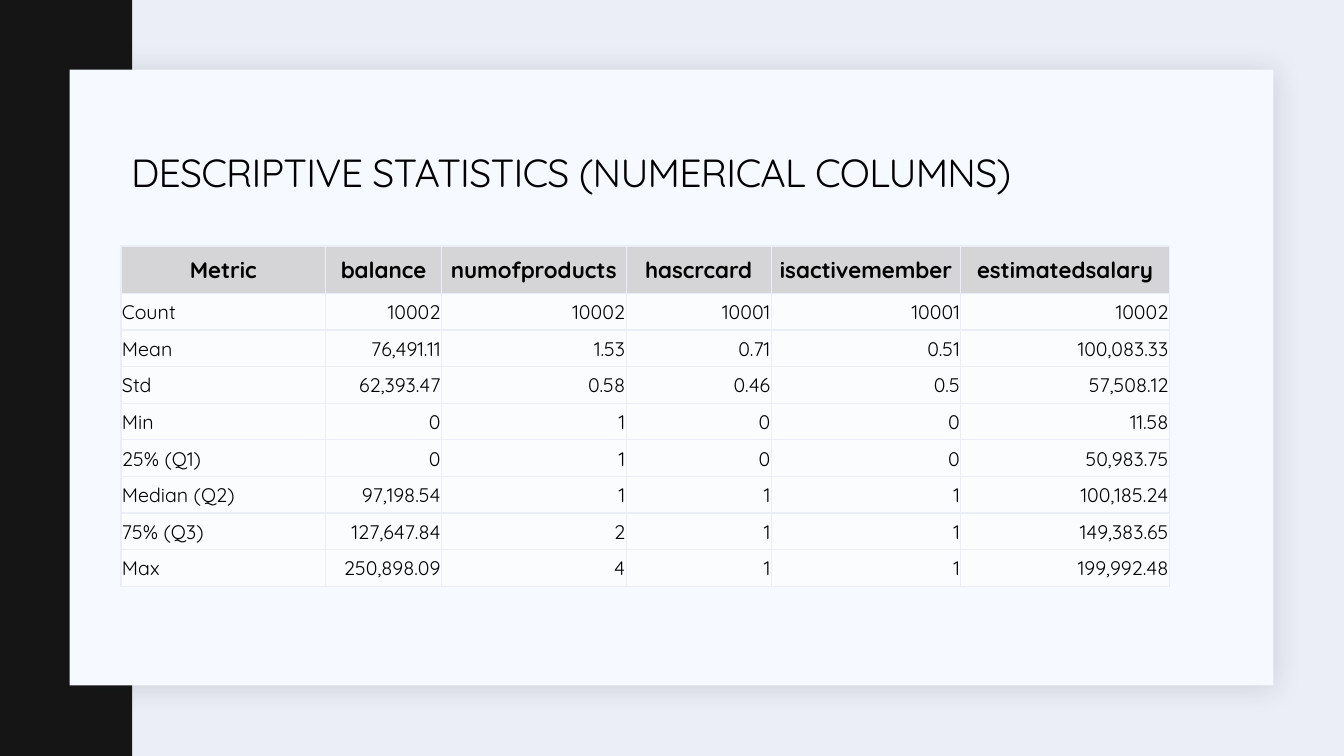
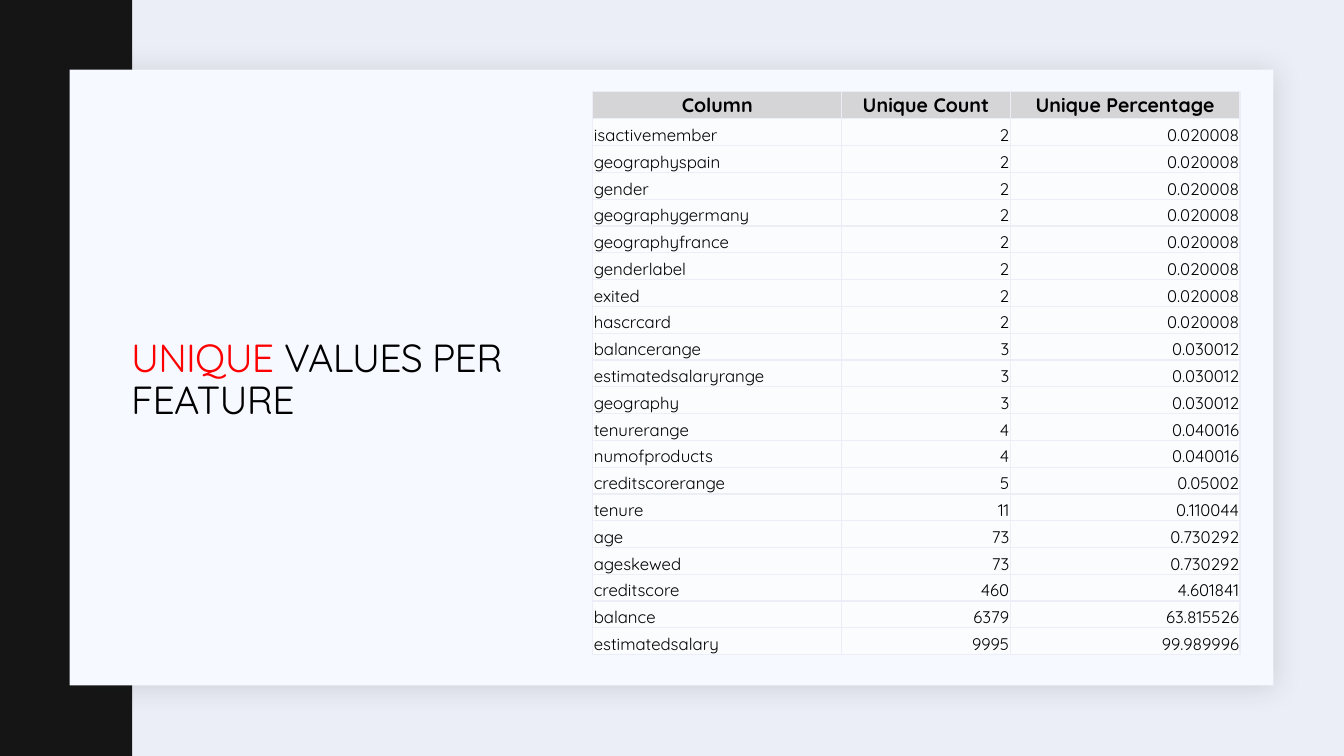
from lxml import etree
from pptx import Presentation
from pptx.dml.color import RGBColor
from pptx.enum.shapes import MSO_SHAPE
from pptx.enum.text import MSO_ANCHOR, MSO_AUTO_SIZE, PP_ALIGN
from pptx.oxml import parse_xml
from pptx.oxml.ns import nsdecls, qn
from pptx.util import Inches, Pt

RECT = MSO_SHAPE.RECTANGLE
MIDDLE, BOTTOM, TOP = MSO_ANCHOR.MIDDLE, MSO_ANCHOR.BOTTOM, MSO_ANCHOR.TOP
LEFT, CENTER, RIGHT = PP_ALIGN.LEFT, PP_ALIGN.CENTER, PP_ALIGN.RIGHT
NO_FIT = MSO_AUTO_SIZE.NONE

# Shared look
FONT = "Quicksand"
BACK, BAND, PANEL = "ECEEF7", "141514", "F6F9FF"
HEAD, BODY, SHADE = "D5D5D7", "FBFCFD", "1F2125"
BLACK, RED = "000000", "FF0000"

# Content
SLIDES = [
    {
        "title": [("DESCRIPTIVE STATISTICS (NUMERICAL COLUMNS)", BLACK)],
        "title_at": (1.2, 1.03, 11, 1.41),
        "table_at": (1.2, 2.44),
        "height": 3.38,
        "head_height": 0.47,
        "cols": [2.03, 1.15, 1.83, 1.44, 1.88, 2.07],
        "sizes": (16, 14),
        "anchors": (MIDDLE, MIDDLE),
        "rows": [
            ("Metric", "balance", "numofproducts", "hascrcard",
             "isactivemember", "estimatedsalary"),
            ("Count", "10002", "10002", "10001", "10001", "10002"),
            ("Mean", "76,491.11", "1.53", "0.71", "0.51", "100,083.33"),
            ("Std", "62,393.47", "0.58", "0.46", "0.5", "57,508.12"),
            ("Min", "0", "1", "0", "0", "11.58"),
            ("25% (Q1)", "0", "1", "0", "0", "50,983.75"),
            ("Median (Q2)", "97,198.54", "1", "1", "1", "100,185.24"),
            ("75% (Q3)", "127,647.84", "2", "1", "1", "149,383.65"),
            ("Max", "250,898.09", "4", "1", "1", "199,992.48"),
        ],
    },
    {
        "title": [("UNIQUE", RED), (" VALUES PER FEATURE", BLACK)],
        "title_at": (1.2, 3.07, 4.55, 1.41),
        "table_at": (5.88, 0.91),
        "height": 5.59,
        "head_height": 0.27,
        "cols": [2.47, 1.67, 2.28],
        "sizes": (14, 12),
        "anchors": (TOP, BOTTOM),
        "rows": [
            ("Column", "Unique Count", "Unique Percentage"),
            ("isactivemember", "2", "0.020008"),
            ("geographyspain", "2", "0.020008"),
            ("gender", "2", "0.020008"),
            ("geographygermany", "2", "0.020008"),
            ("geographyfrance", "2", "0.020008"),
            ("genderlabel", "2", "0.020008"),
            ("exited", "2", "0.020008"),
            ("hascrcard", "2", "0.020008"),
            ("balancerange", "3", "0.030012"),
            ("estimatedsalaryrange", "3", "0.030012"),
            ("geography", "3", "0.030012"),
            ("tenurerange", "4", "0.040016"),
            ("numofproducts", "4", "0.040016"),
            ("creditscorerange", "5", "0.05002"),
            ("tenure", "11", "0.110044"),
            ("age", "73", "0.730292"),
            ("ageskewed", "73", "0.730292"),
            ("creditscore", "460", "4.601841"),
            ("balance", "6379", "63.815526"),
            ("estimatedsalary", "9995", "99.989996"),
        ],
    },
]


def paint(fill, color):
    fill.solid()
    fill.fore_color.rgb = RGBColor.from_string(color)


def style(run, size, color=BLACK, bold=False):
    font = run.font
    font.name, font.size, font.bold = FONT, Pt(size), bold
    font.color.rgb = RGBColor.from_string(color)


def add_rect(slide, at, color):
    rect = slide.shapes.add_shape(RECT, *map(Inches, at))
    rect.shadow.inherit = False
    paint(rect.fill, color)
    rect.line.fill.background()
    return rect


def add_shadow(shape):
    effects = shape._element.spPr.find(qn("a:effectLst"))
    effects.append(parse_xml(
        f'<a:outerShdw {nsdecls("a")} blurRad="{Pt(20)}" dist="{Pt(2)}" '
        f'dir="2700000" algn="ctr" rotWithShape="0"><a:srgbClr val="{SHADE}">'
        '<a:alpha val="15000"/></a:srgbClr></a:outerShdw>'))


def dress(layout, slide):
    """Put the background, band and panel on the shared layout."""
    paint(layout.background.fill, BACK)
    band = add_rect(slide, (0, 0, 1.31, 7.5), BAND)
    panel = add_rect(slide, (0.69, 0.69, 11.94, 6.11), PANEL)
    add_shadow(panel)
    for spot, shape in enumerate((band, panel), 2):
        layout.shapes._spTree.insert(spot, shape._element)


def set_title(slide, parts, at):
    title = slide.shapes.title
    title.left, title.top, title.width, title.height = map(Inches, at)
    frame = title.text_frame
    frame.word_wrap, frame.auto_size = True, NO_FIT
    frame.vertical_anchor = MIDDLE
    para = frame.paragraphs[0]
    para.alignment, para.line_spacing = LEFT, 0.9
    for text, color in parts:
        run = para.add_run()
        run.text = text
        style(run, 28, color)
        run.font._element.set("spc", "-50")


def add_borders(cell):
    props = cell._tc.get_or_add_tcPr()
    for spot, side in enumerate(("lnL", "lnR", "lnT", "lnB")):
        line = etree.Element(qn(f"a:{side}"), w=str(Pt(1)))
        fill = etree.SubElement(line, qn("a:solidFill"))
        etree.SubElement(fill, qn("a:srgbClr"), val=BACK)
        props.insert(spot, line)


def set_cell(cell, text, size, anchor, align, is_head):
    cell.margin_left = cell.margin_right = cell.margin_top = Inches(0.01)
    cell.margin_bottom = 0
    cell.vertical_anchor = anchor
    paint(cell.fill, HEAD if is_head else BODY)
    add_borders(cell)
    cell.text_frame.text = text
    para = cell.text_frame.paragraphs[0]
    para.alignment = align
    style(para.runs[0], size, bold=is_head)


def add_grid(slide, data):
    rows, cols = data["rows"], data["cols"]
    box = (*data["table_at"], sum(cols), data["height"])
    table = slide.shapes.add_table(
        len(rows), len(cols), *map(Inches, box)).table
    table.first_row = table.horz_banding = False
    for col, width in zip(table.columns, cols):
        col.width = Inches(width)
    step = (data["height"] - data["head_height"]) / (len(rows) - 1)
    for r, row in enumerate(rows):
        is_head = r == 0
        kind = min(r, 1)
        table.rows[r].height = Inches(data["head_height"] if is_head else step)
        for c, text in enumerate(row):
            align = CENTER if is_head else RIGHT if c else LEFT
            set_cell(table.cell(r, c), text, data["sizes"][kind],
                     data["anchors"][kind], align, is_head)


def main():
    deck = Presentation()
    deck.slide_width, deck.slide_height = Inches(13.33), Inches(7.5)
    layout = deck.slide_layouts[5]
    for number, data in enumerate(SLIDES):
        slide = deck.slides.add_slide(layout)
        if number == 0:
            dress(layout, slide)
        set_title(slide, data["title"], data["title_at"])
        add_grid(slide, data)
    deck.save("out.pptx")


if __name__ == "__main__":
    main()
